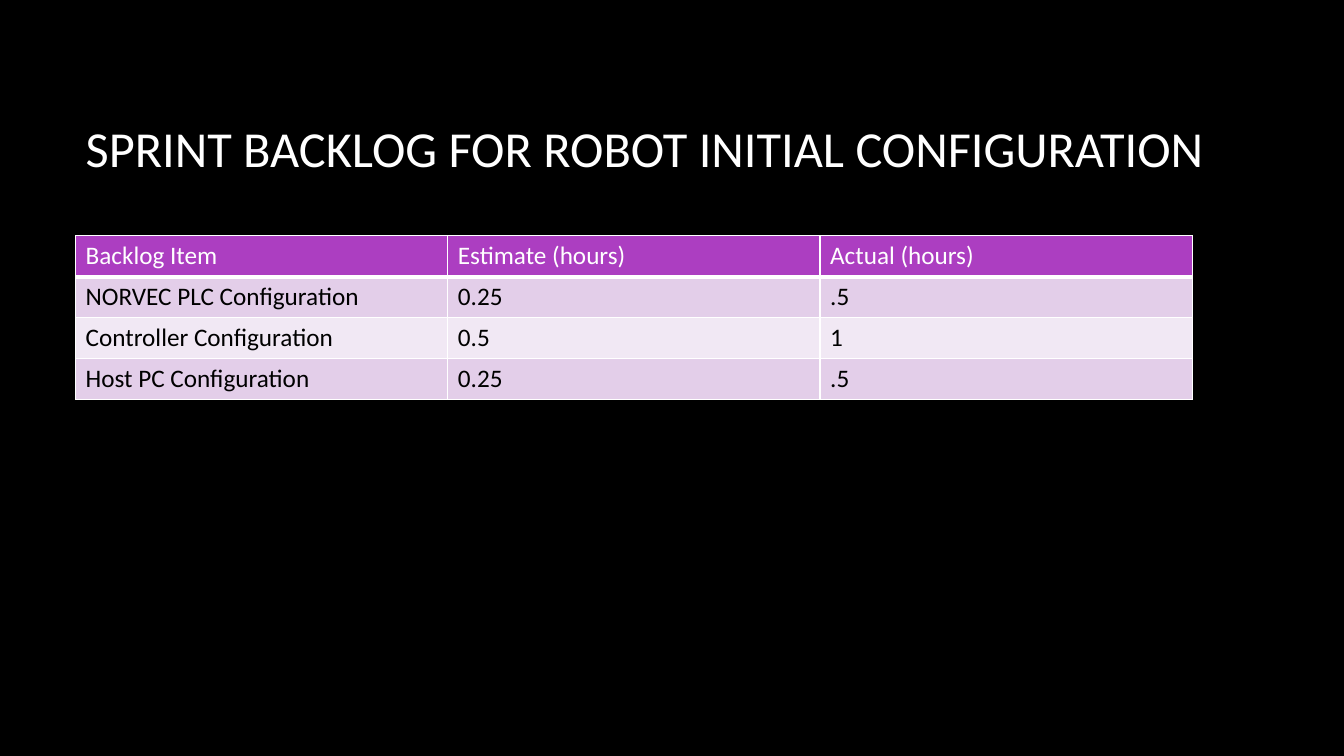
from lxml.etree import SubElement
from pptx import Presentation
from pptx.dml.color import RGBColor
from pptx.enum.text import MSO_ANCHOR, PP_ALIGN
from pptx.oxml.ns import qn
from pptx.util import Pt

WHITE, BLACK = "FFFFFF", "000000"
HEAD, DARK, LIGHT = "AC3EC1", "E3CEE9", "F1E8F4"

ROWS = [
    ("Backlog Item", "Estimate (hours)", "Actual (hours)"),
    ("NORVEC PLC Configuration", "0.25", ".5"),
    ("Controller Configuration", "0.5", "1"),
    ("Host PC Configuration", "0.25", ".5"),
]


def paint(fill, color):
    fill.solid()
    fill.fore_color.rgb = RGBColor.from_string(color)


def write(frame, text, size=18, color=BLACK, anchor=MSO_ANCHOR.TOP):
    frame.word_wrap = True
    frame.vertical_anchor = anchor
    par = frame.paragraphs[0]
    par.alignment = PP_ALIGN.LEFT
    run = par.add_run()
    run.text = text
    font = run.font
    font.name, font.size, font.bold = "Calibri", Pt(size), False
    font.color.rgb = RGBColor.from_string(color)


def edge(cell, top=1, bottom=1):
    """Draw white borders, with widths in points."""
    props = cell._tc.get_or_add_tcPr()
    for side, width in zip("LRTB", (1, 1, top, bottom)):
        line = SubElement(props, qn(f"a:ln{side}"), w=str(Pt(width)))
        solid = SubElement(line, qn("a:solidFill"))
        SubElement(solid, qn("a:srgbClr"), val=WHITE)


def add_title(slide, text):
    title = slide.shapes.title
    title.left, title.top = Pt(54), Pt(48.24)
    title.width, title.height = Pt(838), Pt(114.5)
    write(title.text_frame, text, size=36, color=WHITE,
          anchor=MSO_ANCHOR.MIDDLE)


def add_grid(slide, rows):
    wide, high = 265.9, 29.2
    count = len(rows[0])
    table = slide.shapes.add_table(
        len(rows), count, Pt(54), Pt(168.5),
        Pt(wide * count), Pt(high * len(rows))).table
    for col in table.columns:
        col.width = Pt(wide)
    for i, row in enumerate(rows):
        table.rows[i].height = Pt(high)
        back = HEAD if i == 0 else DARK if i % 2 else LIGHT
        for j, text in enumerate(row):
            cell = table.cell(i, j)
            # Borders come before the fill in the cell properties
            edge(cell, top=3 if i == 1 else 1, bottom=3 if i == 0 else 1)
            paint(cell.fill, back)
            write(cell.text_frame, text, color=BLACK if i else WHITE)


def main():
    deck = Presentation()
    deck.slide_width, deck.slide_height = Pt(960), Pt(540)
    slide = deck.slides.add_slide(deck.slide_layouts[5])
    paint(slide.background.fill, BLACK)

    # Title and backlog table
    add_title(slide, "SPRINT BACKLOG FOR ROBOT INITIAL CONFIGURATION")
    add_grid(slide, ROWS)
    deck.save("out.pptx")


if __name__ == "__main__":
    main()
